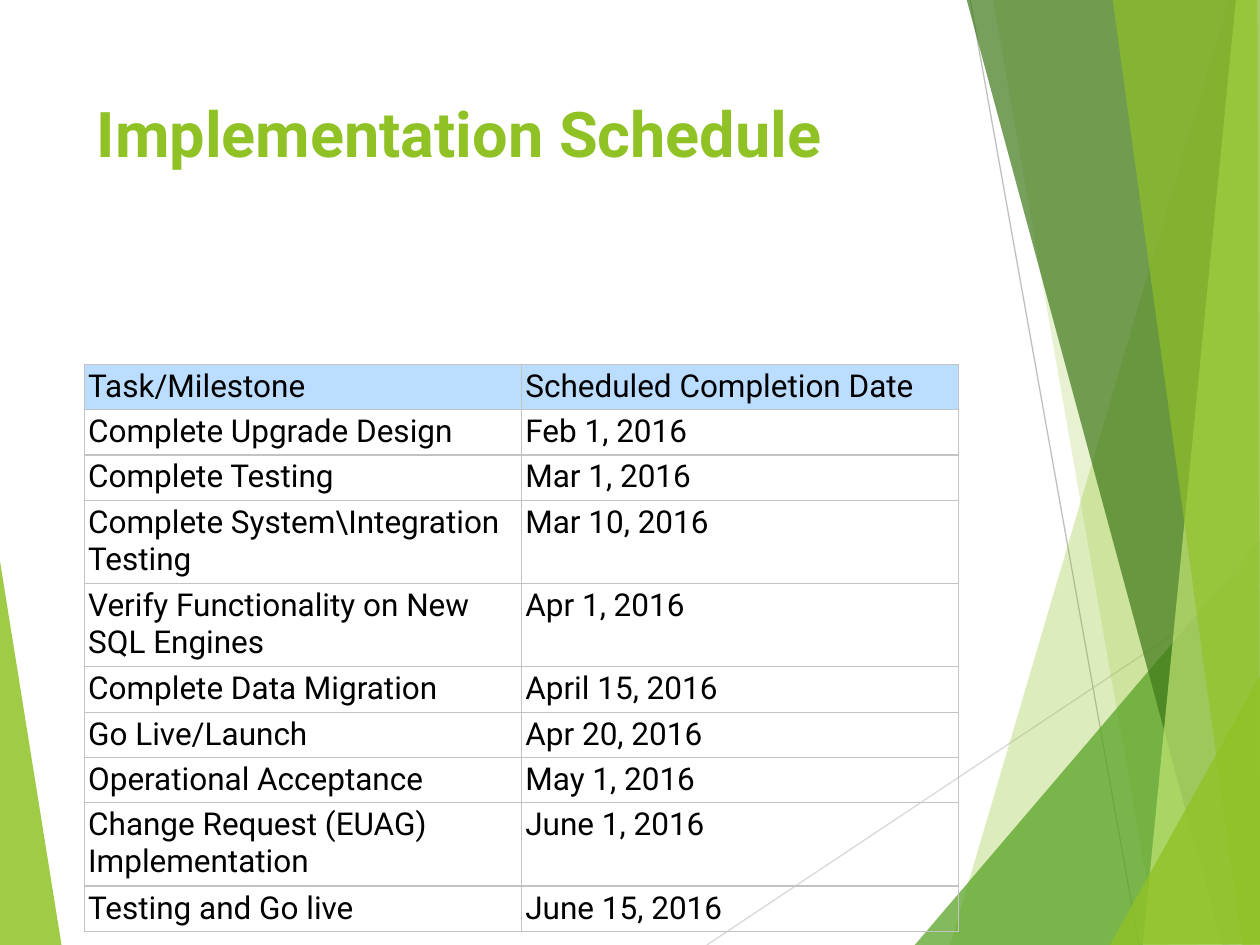
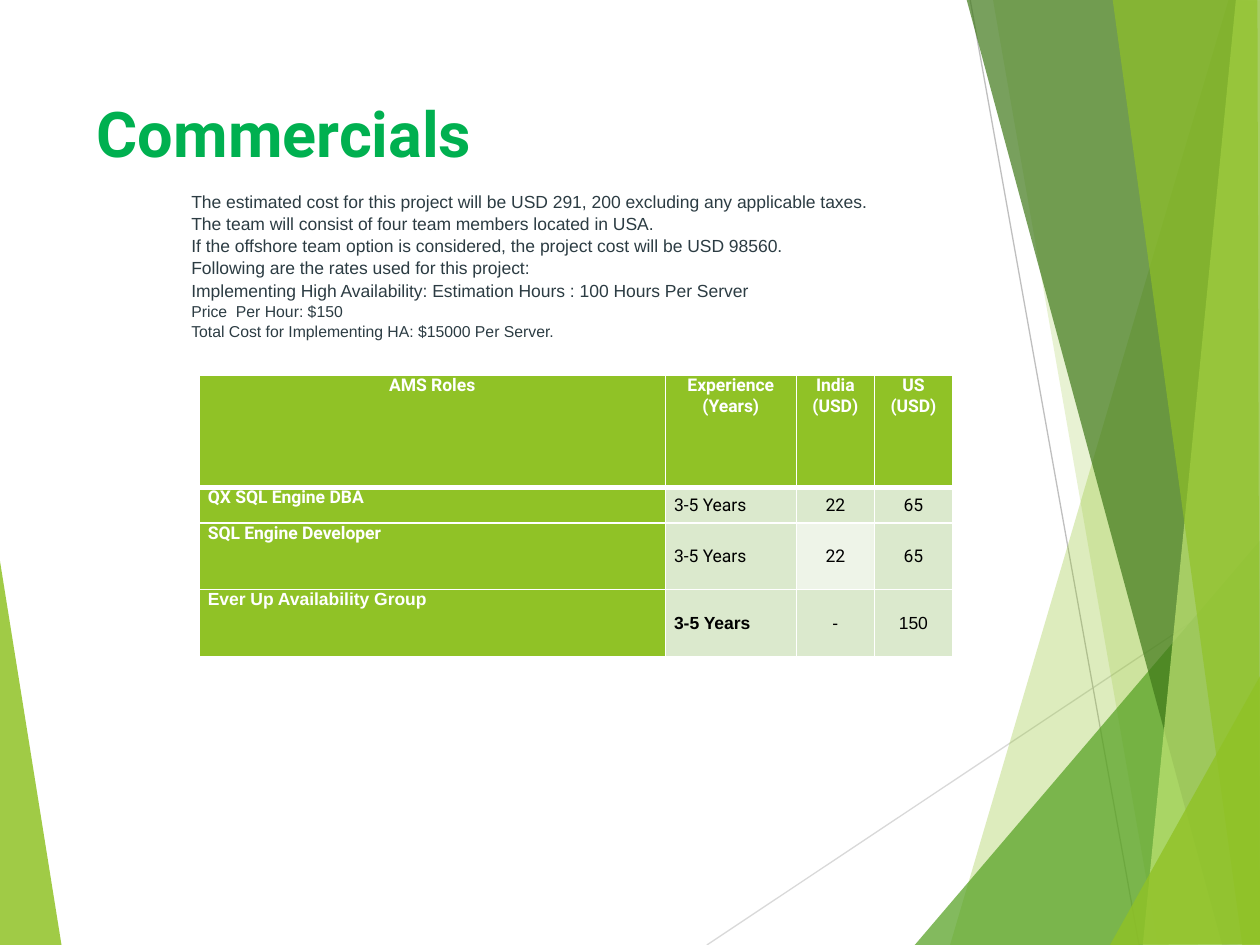
from lxml.etree import SubElement
from pptx import Presentation
from pptx.dml.color import RGBColor
from pptx.enum.shapes import MSO_CONNECTOR
from pptx.enum.text import MSO_ANCHOR, PP_ALIGN
from pptx.oxml.ns import qn
from pptx.util import Inches, Pt

COLORS = {
    "lime": "90C226", "green": "54A021", "forest": "3F7819", "pale": "C0E474",
    "title_green": "00B050", "header_blue": "BBDDFF", "grid": "C3C3C3",
    "line_light": "D9D9D9", "line_mid": "BFBFBF", "tint": "DBE9CD",
    "tint_light": "EEF4E8", "slate": "2C3C43", "black": "000000", "white": "FFFFFF",
}

# Straight-edged facets of the shared backdrop: colour, opacity in percent, corners
LEFT_FACET = ("lime", 85, [(-0.01, 4.39), (0.49, 7.51), (-0.01, 7.5)])
RIGHT_FACETS = [
    ("lime", 30, [(9.75, 0), (7.54, 7.5), (10.02, 7.51), (10.01, 0.01)]),
    ("lime", 20, [(7.88, -0.01), (9.19, 7.5), (10.01, 7.5), (10.01, -0.01)]),
    ("green", 72, [(7.26, 7.5), (10, 4.29), (10.01, 7.5)]),
    ("forest", 70, [(7.67, -0.01), (9.7, 7.5), (10.01, 7.49), (10.01, -0.01)]),
    ("pale", 70, [(9.81, -0.01), (9.07, 7.5), (10.01, 7.5), (10, -0.01)]),
    ("lime", 65, [(8.83, -0.01), (9.86, 7.5), (10, 7.5), (9.98, -0.01)]),
    ("lime", 80, [(8.81, 7.5), (10.01, 5.35), (10.01, 7.49)]),
]
BACKDROP_LINES = [
    ("line_light", (5.61, 7.5), (10.01, 4.57)),
    ("line_mid", (7.7, 0), (9.04, 7.5)),
]

SCHEDULE = [
    ("Task/Milestone", "Scheduled Completion Date"),
    ("Complete Upgrade Design", "Feb 1, 2016"),
    ("Complete Testing", "Mar 1, 2016"),
    ("Complete System\\Integration Testing", "Mar 10, 2016"),
    ("Verify Functionality on New SQL Engines", "Apr 1, 2016"),
    ("Complete Data Migration", "April 15, 2016"),
    ("Go Live/Launch", "Apr 20, 2016"),
    ("Operational Acceptance", "May 1, 2016"),
    ("Change Request (EUAG) Implementation", "June 1, 2016"),
    ("Testing and Go live", "June 15, 2016"),
]
WRAPPED_ROWS = (3, 4, 8)

RATES = [
    ("AMS Roles", "Experience (Years)", "India\v(USD)", "US\v(USD)"),
    ("QX SQL Engine DBA", "3-5 Years", "22", "65"),
    ("SQL Engine Developer", "3-5 Years", "22", "65"),
    ("Ever Up Availability Group", "3-5 Years", "-", "150"),
]

COST_NOTES = [
    ("The estimated cost for this project will be USD 291, 200 "
     "excluding any applicable taxes.", 10),
    ("The team will consist of four team members located in USA.", 10),
    ("If the offshore team option is considered, the project cost will be USD 98560.", 10),
    ("Following are the rates used for this project:", 10),
    ("Implementing High Availability: Estimation Hours : 100 Hours Per Server", 10),
    ("Price  Per Hour: $150", 9),
    ("Total Cost for Implementing HA: $15000 Per Server.", 9),
]


def color(name):
    """Return the named palette colour."""
    return RGBColor.from_string(COLORS[name])


def apply(target, values):
    """Set each attribute in the dict on the target."""
    for name, value in values.items():
        setattr(target, name, value)


def style_font(font, fill, **values):
    """Set the colour and the other font attributes."""
    apply(font, values)
    font.color.rgb = color(fill)


class Deck:
    """Holds the presentation, the current slide and the shared style."""

    def __init__(self):
        """Start a 10 by 7.5 inch presentation."""
        self.presentation = Presentation()
        apply(self.presentation, {"slide_width": Inches(10), "slide_height": Inches(7.5)})
        self.slide = None

    def new_slide(self, title, title_color):
        """Add a blank slide with the backdrop and a title."""
        self.slide = self.presentation.slides.add_slide(self.presentation.slide_layouts[6])
        self.facet(*LEFT_FACET)
        for line in BACKDROP_LINES:
            self.line(*line)
        for facet in RIGHT_FACETS:
            self.facet(*facet)
        self.text((0.67, 0.67, 6.94, 1.44), [(title, 36)], title_color,
                  name="Roboto", bold=True)

    def facet(self, fill, opacity, corners):
        """Draw a translucent polygon."""
        points = [(Inches(x), Inches(y)) for x, y in corners]
        builder = self.slide.shapes.build_freeform(*points[0], scale=1.0)
        builder.add_line_segments(points[1:], close=True)
        shape = builder.convert_to_shape()
        shape.shadow.inherit = False
        shape.fill.solid()
        shape.fill.fore_color.rgb = color(fill)
        shape.line.fill.background()
        tone = shape._element.spPr.find(qn("a:solidFill"))[0]
        SubElement(tone, qn("a:alpha"), val=str(opacity * 1000))

    def line(self, stroke, start, end):
        """Draw a thin straight line."""
        ends = [Inches(value) for value in start + end]
        connector = self.slide.shapes.add_connector(MSO_CONNECTOR.STRAIGHT, *ends)
        connector.line.width = Pt(0.75)
        connector.line.color.rgb = color(stroke)
        SubElement(connector._element.spPr, qn("a:effectLst"))

    def text(self, box, lines, fill, spacing=1.0, **font):
        """Add a top-anchored text box with one paragraph per (text, size)."""
        shape = self.slide.shapes.add_textbox(*map(Inches, box))
        frame = shape.text_frame
        apply(frame, {"word_wrap": True, "margin_top": Inches(0.08),
                      "vertical_anchor": MSO_ANCHOR.TOP})
        for index, (content, size) in enumerate(lines):
            paragraph = frame.paragraphs[0] if index == 0 else frame.add_paragraph()
            paragraph.line_spacing = spacing
            run = paragraph.add_run()
            run.text = content
            style_font(run.font, fill, size=Pt(size), **font)

    def table(self, left, top, widths, heights, rows, style_cell):
        """Add a table; style_cell(cell, row, column) formats each cell."""
        frame = self.slide.shapes.add_table(
            len(rows), len(widths), Inches(left), Inches(top),
            Inches(sum(widths)), Inches(sum(heights)))
        table = frame.table
        apply(table, {"first_row": False, "horz_banding": False})
        for column, width in zip(table.columns, widths):
            column.width = Inches(width)
        for row, height in zip(table.rows, heights):
            row.height = Inches(height)
        for row, values in enumerate(rows):
            for column, value in enumerate(values):
                cell = table.cell(row, column)
                cell.text = value
                style_cell(cell, row, column)

    def cell(self, cell, fill, border, widths, margins, anchor=MSO_ANCHOR.TOP):
        """Set borders (left, right, top, bottom), margins and fill of a cell."""
        horizontal, vertical = map(Inches, margins)
        apply(cell, {"margin_left": horizontal, "margin_right": horizontal,
                     "margin_top": vertical, "margin_bottom": vertical,
                     "vertical_anchor": anchor})
        properties = cell._tc.get_or_add_tcPr()
        for side, width in zip("LRTB", widths):
            edge = SubElement(properties, qn("a:ln" + side), w=str(Pt(width)))
            solid = SubElement(edge, qn("a:solidFill"))
            SubElement(solid, qn("a:srgbClr"), val=COLORS[border])
        if fill is None:
            cell.fill.background()
        else:
            cell.fill.solid()
            cell.fill.fore_color.rgb = color(fill)

    def schedule_cell(self, cell, row, column):
        """Format a cell of the schedule table."""
        self.cell(cell, "header_blue" if row == 0 else None, "grid",
                  [0.75] * 4, (0.03, 0.03))
        style_font(cell.text_frame.paragraphs[0].runs[0].font, "black",
                   name="Roboto", size=Pt(18), bold=False)

    def rate_cell(self, cell, row, column):
        """Format a cell of the rates table."""
        heading = row == 0 or column == 0
        last_row = row == len(RATES) - 1
        fill = "lime" if heading else "tint_light" if (row, column) == (2, 2) else "tint"
        self.cell(cell, fill, "white",
                  (1, 1, 3 if row == 1 else 1, 3 if row == 0 else 1), (0.07, 0),
                  MSO_ANCHOR.TOP if heading else MSO_ANCHOR.MIDDLE)
        centred = row == 0 or column > 1
        paragraph = cell.text_frame.paragraphs[0]
        apply(paragraph, {"space_before": Pt(3), "space_after": Pt(3),
                          "alignment": PP_ALIGN.CENTER if centred else PP_ALIGN.LEFT})
        for run in paragraph.runs:
            style_font(run.font, "white" if heading else "black", size=Pt(10),
                       name="Arial" if last_row else "Roboto",
                       bold=heading or (last_row and column == 1))


def build_schedule(deck):
    """Build the implementation schedule slide."""
    deck.new_slide("Implementation Schedule", "lime")
    heights = [0.66 if row in WRAPPED_ROWS else 0.36 for row in range(len(SCHEDULE))]
    deck.table(0.67, 2.89, [3.47] * 2, heights, SCHEDULE, deck.schedule_cell)


def build_commercials(deck):
    """Build the commercials slide."""
    deck.new_slide("Commercials", "title_green")
    deck.table(1.58, 2.98, [3.7, 1.04, 0.62, 0.62], [0.89, 0.28, 0.53, 0.53],
               RATES, deck.rate_cell)
    deck.text((1.42, 1.43, 8.28, 1.87), COST_NOTES, "slate", spacing=1.05, name="Arial")


deck = Deck()
build_schedule(deck)
build_commercials(deck)
deck.presentation.save("out.pptx")
